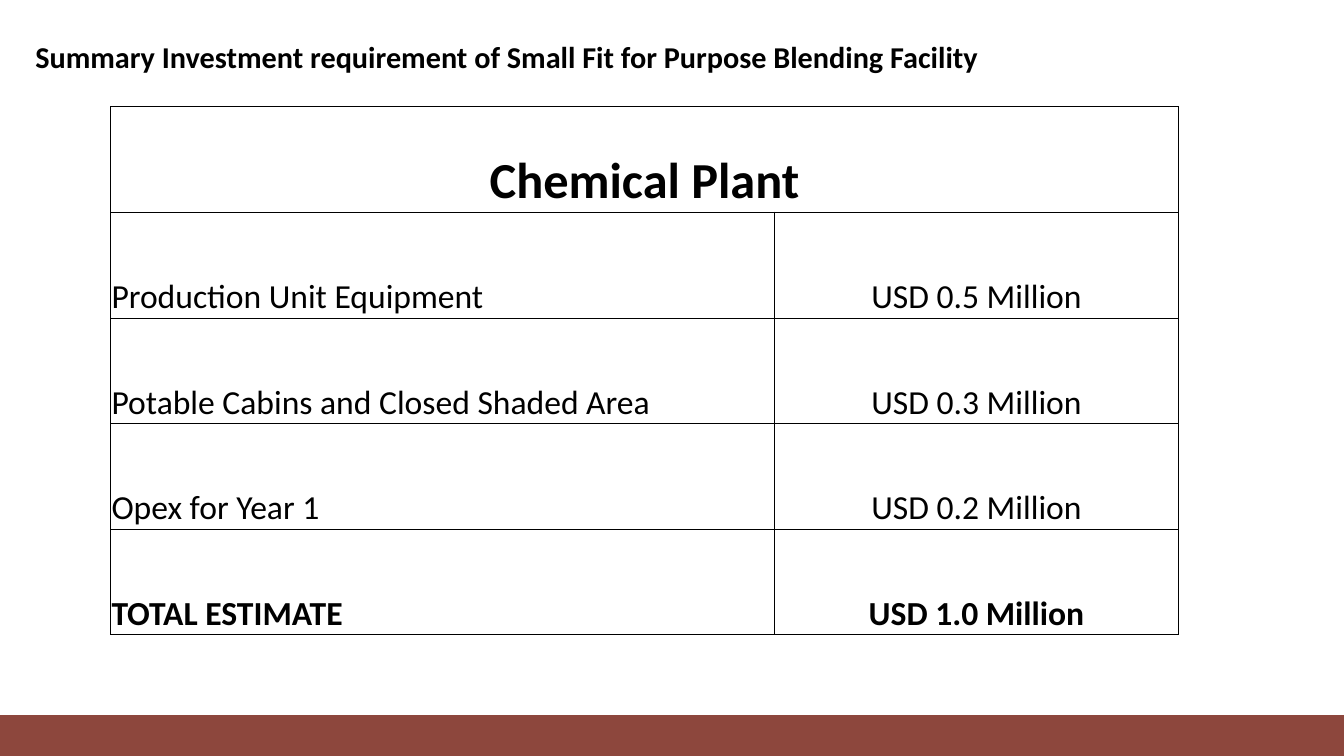
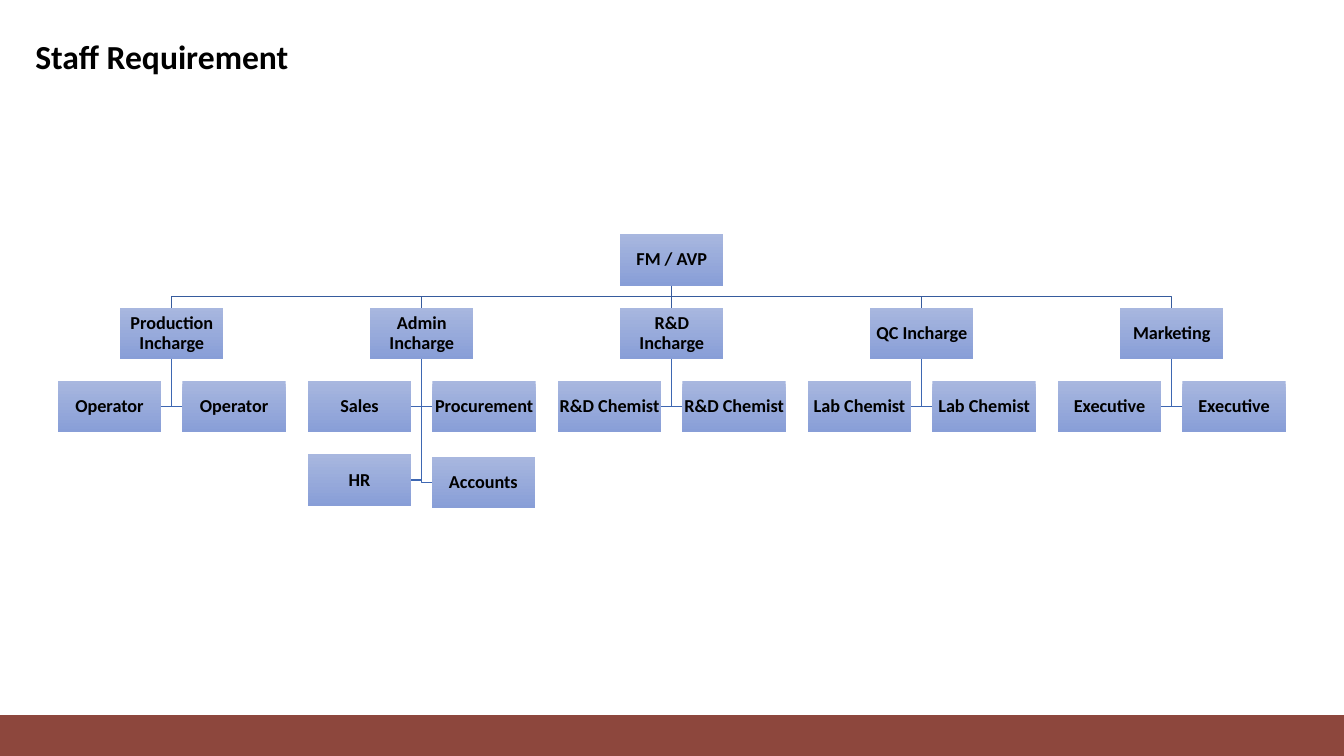
from lxml import etree
from pptx import Presentation
from pptx.dml.color import RGBColor
from pptx.enum.shapes import MSO_CONNECTOR, MSO_SHAPE
from pptx.enum.text import MSO_ANCHOR, PP_ALIGN
from pptx.oxml import parse_xml
from pptx.oxml.ns import nsdecls, qn
from pptx.util import Cm, Pt

BLACK, BAND = "000000", "7F3126"
BOX_TOP, BOX_BOTTOM = "A8B7DF", "889ED7"
BUS, BRANCH = "365B9D", "3E67B2"
rgb = RGBColor.from_string


def set_text(tf, text, size, bold=True, align=PP_ALIGN.LEFT, spacing=1.0):
    tf.text = text
    p = tf.paragraphs[0]
    p.alignment, p.line_spacing = align, spacing
    font = p.runs[0].font
    font.name, font.size, font.bold = "Calibri", Pt(size), bold
    font.color.rgb = rgb(BLACK)


def add_bent_line(s, points, color):
    """Open line through points given in cm."""
    start, *others = [(Cm(x), Cm(y)) for x, y in points]
    builder = s.shapes.build_freeform(*start)
    builder.add_line_segments(others, close=False)
    sp = builder.convert_to_shape()
    sp.shadow.inherit = False
    sp.fill.background()
    sp.line.color.rgb = rgb(color)
    sp.line.width = Pt(1)


prs = Presentation()
prs.slide_width, prs.slide_height = Cm(33.87), Cm(19.05)

# Shared title and bottom band
titles = [
    ("Summary Investment requirement of Small Fit for Purpose Blending Facility",
     21.6, 26.9),
    ("Staff Requirement", 24, 13.77),
]
slides = []
for title, size, width in titles:
    s = prs.slides.add_slide(prs.slide_layouts[6])
    slides.append(s)
    tf = s.shapes.add_textbox(Cm(0.64), Cm(0.64), Cm(width), Cm(1.68)).text_frame
    tf.word_wrap = True
    tf.vertical_anchor = MSO_ANCHOR.MIDDLE
    set_text(tf, title, size, spacing=0.9)

    band = s.shapes.add_shape(MSO_SHAPE.RECTANGLE, 0, Cm(18.02),
                              prs.slide_width, Cm(1.03))
    band.shadow.inherit = False
    band.line.fill.background()
    band.fill.solid()
    band.fill.fore_color.rgb = rgb(BAND)
    clr = band._element.spPr.find(".//" + qn("a:srgbClr"))
    etree.SubElement(clr, qn("a:alpha"), val="89000")

investment_slide, staff_slide = slides

# Slide 1: investment table
rows = [
    ("Chemical Plant", ""),
    ("Production Unit Equipment", "USD 0.5 Million"),
    ("Potable Cabins and Closed Shaded Area", "USD 0.3 Million"),
    ("Opex for Year 1", "USD 0.2 Million"),
    ("TOTAL ESTIMATE", "USD 1.0 Million"),
]
col_widths = [16.73, 10.18]
row_height = 2.66
last = len(rows) - 1
table = investment_slide.shapes.add_table(
    len(rows), 2, Cm(2.79), Cm(2.69),
    Cm(sum(col_widths)), Cm(row_height * len(rows))).table
table.first_row = table.horz_banding = False
for col, width in zip(table.columns, col_widths):
    col.width = Cm(width)
table.cell(0, 0).merge(table.cell(0, 1))

for i, row in enumerate(rows):
    table.rows[i].height = Cm(row_height)
    for j, text in enumerate(row):
        cell = table.cell(i, j)
        cell.vertical_anchor = MSO_ANCHOR.BOTTOM
        cell.margin_left = cell.margin_right = cell.margin_top = Cm(0.02)
        cell.margin_bottom = 0
        # Outer and header edges are 1 pt, inner edges half that
        heavy = {"L": j == 0 or i == 0, "R": j == 1 or i == 0,
                 "T": i <= 1, "B": i in (0, last)}
        tcPr = cell._tc.get_or_add_tcPr()
        for side, is_heavy in heavy.items():
            tcPr.append(parse_xml(
                f'<a:ln{side} {nsdecls("a")} w="{Pt(1 if is_heavy else 0.5)}">'
                f'<a:solidFill><a:srgbClr val="{BLACK}"/></a:solidFill>'
                f'</a:ln{side}>'))
        cell.fill.background()
        if text:
            set_text(cell.text_frame, text, 36 if i == 0 else 24,
                     bold=i in (0, last),
                     align=PP_ALIGN.CENTER if i == 0 or j == 1 else PP_ALIGN.LEFT)

# Slide 2: organisation chart, in cm
box_w, box_h = 2.6, 1.3
top, row_step = 5.9, 1.85
center, dept_step, child_offset = 16.93, 6.3, 1.57
departments = [
    ("Production Incharge", ["Operator", "Operator"]),
    ("Admin Incharge", ["Sales", "Procurement", "HR", "Accounts"]),
    ("R&D Incharge", ["R&D Chemist", "R&D Chemist"]),
    ("QC Incharge", ["Lab Chemist", "Lab Chemist"]),
    ("Marketing", ["Executive", "Executive"]),
]

# Places of all boxes (text, centre x, top y), and the bent lines between them
places = [("FM / AVP", center, top)]
dept_y = top + row_step
bus_y = (top + box_h + dept_y) / 2
for d, (dept, staff) in enumerate(departments):
    x = center + (d - 2) * dept_step
    places.append((dept, x, dept_y))
    if x != center:
        add_bent_line(staff_slide, [(center, top + box_h), (center, bus_y),
                                    (x, bus_y), (x, dept_y)], BUS)
    for n, job in enumerate(staff):
        side = 1 if n % 2 else -1
        dx, dy = (-0.02, 0.06) if job == "Accounts" else (0, 0)
        child_x = x + side * child_offset + dx
        child_y = top + (2 + n // 2) * row_step + dy
        places.append((job, child_x, child_y))
        mid = child_y + box_h / 2
        add_bent_line(staff_slide, [(x, dept_y + box_h), (x, mid),
                                    (child_x - side * box_w / 2, mid)], BRANCH)

# Boxes
boxes = {}
for text, x, y in places:
    sp = staff_slide.shapes.add_shape(MSO_SHAPE.RECTANGLE, Cm(x - box_w / 2),
                                      Cm(y), Cm(box_w), Cm(box_h))
    sp.shadow.inherit = False
    sp.line.fill.background()
    sp.fill.gradient()
    sp.fill.gradient_angle = 270
    for stop, color in zip(sp.fill.gradient_stops, (BOX_TOP, BOX_BOTTOM)):
        stop.color.rgb = rgb(color)
    tf = sp.text_frame
    tf.word_wrap = True
    tf.vertical_anchor = MSO_ANCHOR.MIDDLE
    tf.margin_left = tf.margin_right = tf.margin_top = tf.margin_bottom = Cm(0.02)
    set_text(tf, text, 13, align=PP_ALIGN.CENTER, spacing=0.9)
    boxes[text] = sp

# Straight line from the head to the department below it
line = staff_slide.shapes.add_connector(MSO_CONNECTOR.STRAIGHT, 0, 0, 0, 0)
line.begin_connect(boxes["FM / AVP"], 2)
line.end_connect(boxes["R&D Incharge"], 0)
line.line.color.rgb = rgb(BUS)
line.line.width = Pt(1)
etree.SubElement(line._element.spPr, qn("a:effectLst"))

prs.save("out.pptx")
